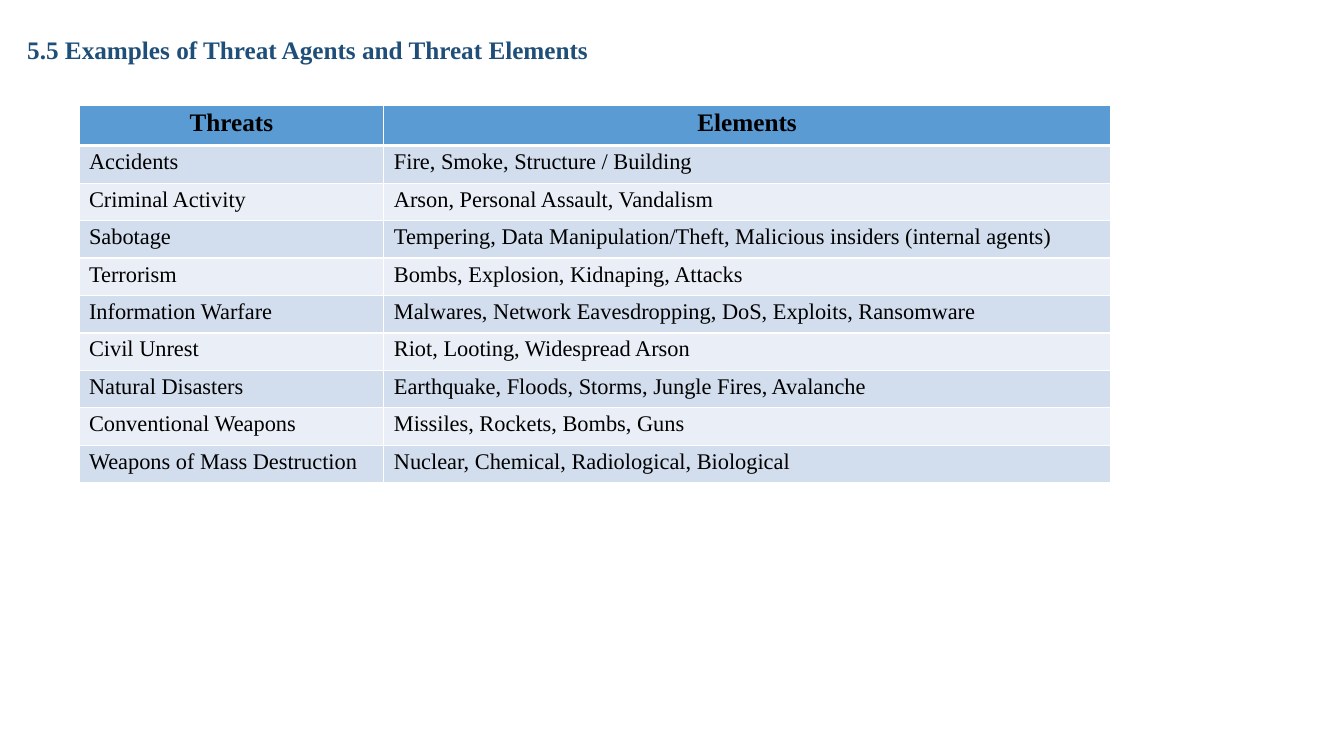
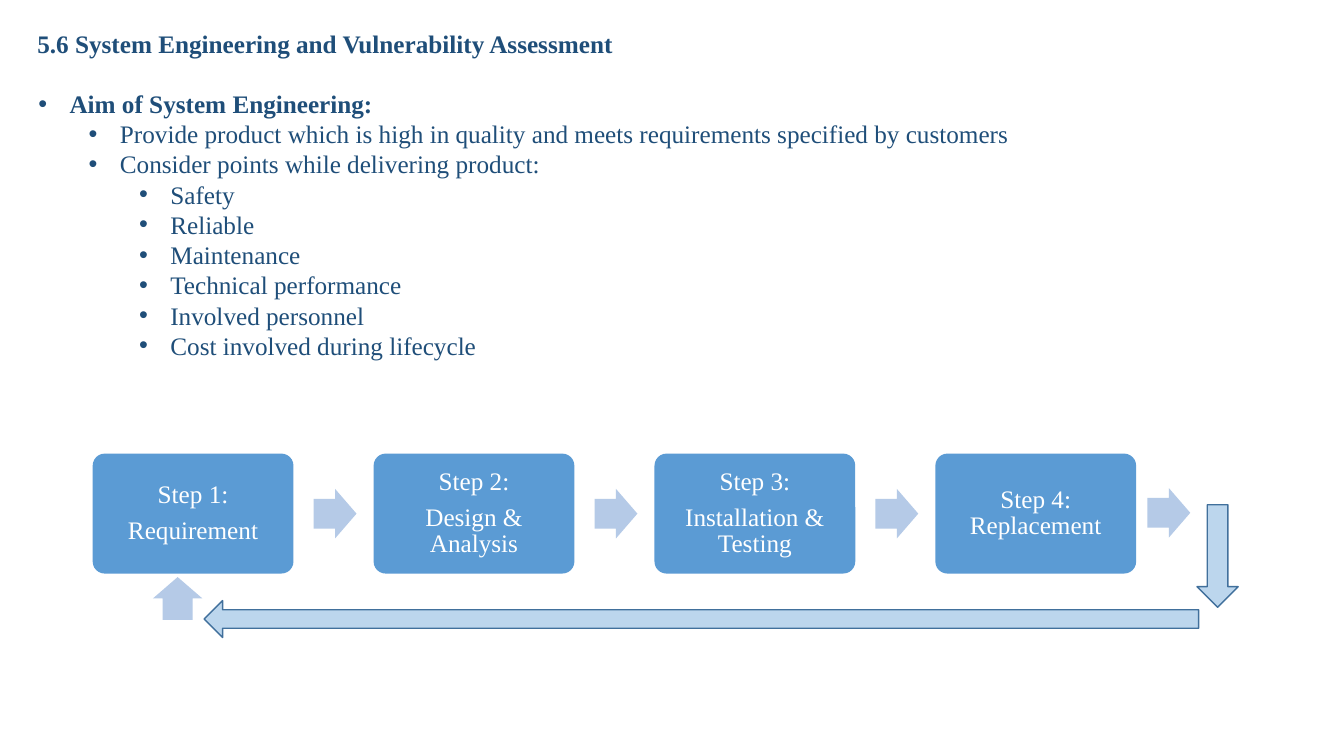
import dataclasses

import pptx
import pptx.dml.color
import pptx.enum.shapes
import pptx.enum.text
import pptx.oxml
import pptx.oxml.ns
import pptx.util
from lxml import etree


@dataclasses.dataclass(frozen=True)
class Theme:
    font: str = "Times New Roman"
    heading: str = "1F4E79"
    black: str = "000000"
    white: str = "FFFFFF"
    accent: str = "5B9BD4"
    bands: tuple = ("D2DEEE", "EAEEF7")
    flow: str = "B5CAE7"
    back: str = "BCD6ED"
    back_line: str = "41709C"
    large: int = 18
    small: int = 16


theme = Theme()
rgb = pptx.dml.color.RGBColor.from_string
SHAPE = pptx.enum.shapes.MSO_SHAPE
ALIGN = pptx.enum.text.PP_ALIGN
ANCHOR = pptx.enum.text.MSO_ANCHOR

deck = pptx.Presentation()
deck.slide_width = pptx.util.Inches(13.33)
deck.slide_height = pptx.util.Inches(7.5)

# Grid of 160 columns by 90 rows
column = deck.slide_width / 160
row = deck.slide_height / 90


def place(left, top, width, height):
    return int(left * column), int(top * row), int(width * column), int(height * row)


def style(para, size, color, bold=False):
    para.font.name = theme.font
    para.font.size = pptx.util.Pt(size)
    para.font.bold = bold
    para.font.color.rgb = rgb(color)


# Pages with their titles
titles = [
    ("5.5 Examples of Threat Agents and Threat Elements", 3.24, 3.84),
    ("5.6 System Engineering and Vulnerability Assessment", 4.44, 3.12),
]
pages = []
for title, left, top in titles:
    page = deck.slides.add_slide(deck.slide_layouts[6])
    frame = page.shapes.add_textbox(*place(left, top, 116, 4)).text_frame
    frame.word_wrap = True
    frame.margin_left = frame.margin_right = frame.margin_bottom = 0
    frame.margin_top = pptx.util.Inches(0.02)
    frame.text = title
    style(frame.paragraphs[0], theme.large, theme.heading, True)
    pages.append(page)
threat_page, process_page = pages

# Threat table
threats = [
    ("Threats", "Elements"),
    ("Accidents", "Fire, Smoke, Structure / Building"),
    ("Criminal Activity", "Arson, Personal Assault, Vandalism"),
    ("Sabotage", "Tempering, Data Manipulation/Theft, Malicious insiders (internal agents)"),
    ("Terrorism", "Bombs, Explosion, Kidnaping, Attacks"),
    ("Information Warfare", "Malwares, Network Eavesdropping, DoS, Exploits, Ransomware"),
    ("Civil Unrest", "Riot, Looting, Widespread Arson"),
    ("Natural Disasters", "Earthquake, Floods, Storms, Jungle Fires, Avalanche"),
    ("Conventional Weapons", "Missiles, Rockets, Bombs, Guns"),
    ("Weapons of Mass Destruction", "Nuclear, Chemical, Radiological, Biological"),
]
table = threat_page.shapes.add_table(
    len(threats), 2, *place(9.4, 12.54, 122.8, 44.94)).table
for index, width in enumerate((36.3, 86.5)):
    table.columns[index].width = int(width * column)
for line, texts in enumerate(threats):
    header = line == 0
    table.rows[line].height = int((4.8 if header else 4.46) * row)
    for index, text in enumerate(texts):
        cell = table.cell(line, index)
        cell.margin_left = pptx.util.Inches(0 if header else 0.1)
        cell.margin_right = cell.margin_bottom = 0
        cell.margin_top = pptx.util.Inches(0.04)
        cell.text = text
        para = cell.text_frame.paragraphs[0]
        para.alignment = ALIGN.CENTER if header else ALIGN.LEFT
        style(para, theme.large if header else theme.small, theme.black, header)
        # White rules, thicker below the header
        thick = {0: "lnB", 1: "lnT"}.get(line)
        for side in ("lnL", "lnR", "lnT", "lnB"):
            weight = pptx.util.Pt(3 if side == thick else 1)
            cell._tc.get_or_add_tcPr().append(pptx.oxml.parse_xml(
                f'<a:{side} {pptx.oxml.ns.nsdecls("a")} w="{weight}"><a:solidFill>'
                f'<a:srgbClr val="{theme.white}"/></a:solidFill></a:{side}>'))
        cell.fill.solid()
        cell.fill.fore_color.rgb = rgb(
            theme.accent if header else theme.bands[(line - 1) % 2])

# Aims of system engineering
aims = [
    (0, "Aim of System Engineering:"),
    (1, "Provide product which is high in quality and meets requirements specified by customers"),
    (1, "Consider points while delivering product:"),
    (2, "Safety"),
    (2, "Reliable"),
    (2, "Maintenance"),
    (2, "Technical performance"),
    (2, "Involved personnel"),
    (2, "Cost involved during lifecycle"),
]
frame = process_page.shapes.add_textbox(*place(4.32, 10.5, 116, 32.4)).text_frame
frame.word_wrap = True
frame.margin_left = frame.margin_right = frame.margin_top = frame.margin_bottom = 0
frame.text = "\n".join(text for level, text in aims)
for para, (level, text) in zip(frame.paragraphs, aims):
    para.level = level
    para.line_spacing = pptx.util.Pt(21.6)
    props = para._p.get_or_add_pPr()
    props.set("marL", str(pptx.util.Inches(0.33 + 0.5 * level)))
    props.set("indent", str(pptx.util.Inches(-0.31)))
    etree.SubElement(props, pptx.oxml.ns.qn("a:buFont"), typeface="Arial")
    etree.SubElement(props, pptx.oxml.ns.qn("a:buChar"), char="•")
    style(para, theme.large, theme.heading, level == 0)

# Process steps at an equal pitch
steps = [
    "Step 1:\nRequirement",
    "Step 2:\nDesign &\vAnalysis",
    "Step 3:\nInstallation &\vTesting",
    "Step 4:\vReplacement",
]
first, pitch, step_width, step_top, step_height = 11.04, 33.44, 23.9, 54, 14.28
for index, text in enumerate(steps):
    step = process_page.shapes.add_shape(
        SHAPE.ROUNDED_RECTANGLE,
        *place(first + index * pitch, step_top, step_width, step_height))
    step.adjustments[0] = 0.1
    step.shadow.inherit = False
    step.fill.solid()
    step.fill.fore_color.rgb = rgb(theme.accent)
    step.line.fill.background()
    frame = step.text_frame
    frame.word_wrap = True
    frame.vertical_anchor = ANCHOR.MIDDLE
    frame.margin_left = frame.margin_right = frame.margin_top = frame.margin_bottom = 0
    frame.text = text
    for number, para in enumerate(frame.paragraphs):
        para.alignment = ALIGN.CENTER
        para.line_spacing = pptx.util.Pt(18.7)
        para.space_before = pptx.util.Pt(7 if number else 0)
        style(para, theme.large, theme.white)

# Arrows between the steps, then the way back to the first
arrows = [
    (SHAPE.RIGHT_ARROW, (first + step_width + 2.4 + index * pitch, 58.2, 5.1, 5.9), 0.6, None)
    for index in range(len(steps) - 1)
] + [
    (SHAPE.RIGHT_ARROW, (136.6, 58.1, 5.1, 5.9), 0.6, None),
    (SHAPE.UP_ARROW, (18.2, 68.7, 5.9, 5.1), 0.6, None),
    (SHAPE.LEFT_ARROW, (24.3, 71.5, 118.4, 4.4), 0.5, theme.back_line),
    (SHAPE.DOWN_ARROW, (142.5, 60.1, 4.9, 12.2), 0.5, theme.back_line),
]
for kind, area, shaft, outline in arrows:
    arrow = process_page.shapes.add_shape(kind, *place(*area))
    arrow.adjustments[0] = shaft
    arrow.adjustments[1] = 0.5
    arrow.shadow.inherit = False
    arrow.fill.solid()
    arrow.fill.fore_color.rgb = rgb(theme.back if outline else theme.flow)
    if outline:
        arrow.line.color.rgb = rgb(outline)
        arrow.line.width = pptx.util.Pt(1)
    else:
        arrow.line.fill.background()

deck.save("out.pptx")
